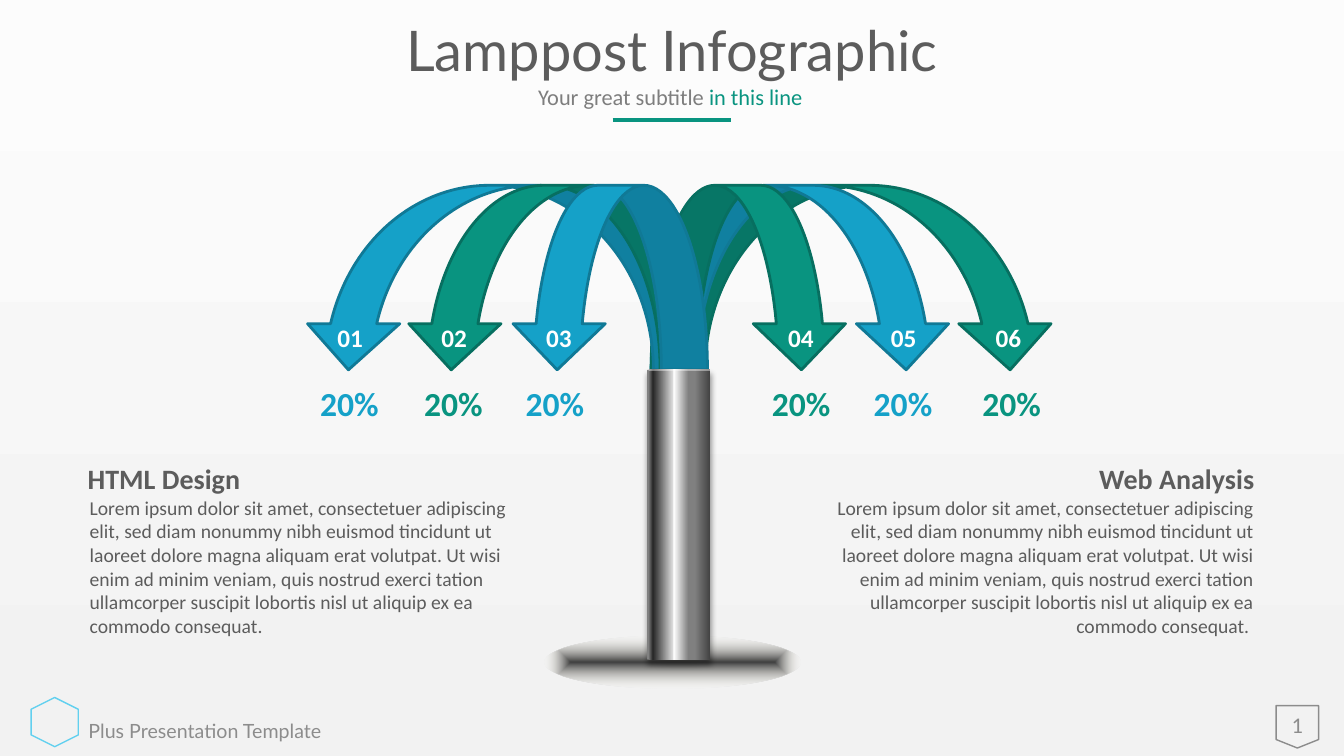
from lxml import etree
from pptx import Presentation
from pptx import util as u
from pptx.dml.color import RGBColor
from pptx.enum import shapes, text
from pptx.oxml.ns import qn

BLUE, BLUE_EDGE = "15A1C8", "107996"
GREEN, GREEN_EDGE = "099480", "076F60"
DARK, GREY, MID = "5C5C5C", "8C8C8C", "7E7E7E"
LEFT, CENTER, RIGHT = text.PP_ALIGN.LEFT, text.PP_ALIGN.CENTER, text.PP_ALIGN.RIGHT
Kind = shapes.MSO_SHAPE


def rgb(value):
    return RGBColor.from_string(value)


def add(parent, tag, **attributes):
    values = {name: str(value) for name, value in attributes.items()}
    return etree.SubElement(parent, qn(tag), values)


def add_color(parent, value, alpha=100):
    color = add(parent, "a:srgbClr", val=value)
    if alpha < 100:
        add(color, "a:alpha", val=alpha * 1000)


def write(box, content, size=14, color=DARK, font="Calibri", bold=False,
          align=LEFT, wrap=True, grow=True, middle=False, spacing=None):
    """Fill a box with one paragraph; content is a string or (string, colour) pairs."""
    frame = box.text_frame
    frame.word_wrap = wrap
    frame.auto_size = (text.MSO_AUTO_SIZE.SHAPE_TO_FIT_TEXT if grow
                       else text.MSO_AUTO_SIZE.NONE)
    frame.vertical_anchor = text.MSO_ANCHOR.MIDDLE if middle else text.MSO_ANCHOR.TOP
    para = frame.paragraphs[0]
    para.alignment = align
    if spacing:
        para.line_spacing = spacing
    for words, tint in [(content, color)] if isinstance(content, str) else content:
        span = para.add_run()
        span.text = words
        span.font.name, span.font.size, span.font.bold = font, u.Pt(size), bold
        span.font.color.rgb = rgb(tint)


class Painter:
    """Holds the current slide and draws each kind of element; lengths in cm."""

    def __init__(self, page):
        self.page = page

    def gradient(self, owner, stops, angle=None):
        """Stops are (position, colour, alpha); without an angle it runs from the centre."""
        owner.fill.gradient()
        root = self.page.element if owner is self.page.background else owner.element
        grad = root.find(".//" + qn("a:gradFill"))
        for child in list(grad):
            grad.remove(child)
        stop_list = add(grad, "a:gsLst")
        for position, color, alpha in stops:
            add_color(add(stop_list, "a:gs", pos=position * 1000), color, alpha)
        if angle is None:
            route = add(grad, "a:path", path="shape")
            add(route, "a:fillToRect", l=50000, t=50000, r=50000, b=50000)
        else:
            add(grad, "a:lin", ang=angle * 60000, scaled=0)

    def shape(self, kind, left, top, width, height, fill=None, line=None,
              weight=1, mirrored=False):
        shape = self.page.shapes.add_shape(
            kind, u.Cm(left), u.Cm(top), u.Cm(width), u.Cm(height))
        shape.shadow.inherit = False
        if fill:
            shape.fill.solid()
            shape.fill.fore_color.rgb = rgb(fill)
        else:
            shape.fill.background()
        if line:
            shape.line.color.rgb = rgb(line)
            shape.line.width = u.Pt(weight)
        else:
            shape.line.fill.background()
        if mirrored:
            shape.element.find(".//" + qn("a:xfrm")).set("flipH", "1")
        return shape

    def drop_shadow(self, shape, blur, distance, angle, alpha):
        effects = shape.element.find(".//" + qn("a:effectLst"))
        shadow = add(effects, "a:outerShdw", blurRad=u.Pt(blur), dist=u.Pt(distance),
                     dir=angle * 60000, algn="t", rotWithShape=0)
        add_color(shadow, "000000", alpha)

    def label(self, content, left, top, width, height, **style):
        box = self.page.shapes.add_textbox(
            u.Cm(left), u.Cm(top), u.Cm(width), u.Cm(height))
        write(box, content, **style)

    def rule(self, left, right, y, color, weight):
        line = self.page.shapes.add_connector(
            shapes.MSO_CONNECTOR.STRAIGHT, u.Cm(left), u.Cm(y), u.Cm(right), u.Cm(y))
        line.line.color.rgb = rgb(color)
        line.line.width = u.Pt(weight)
        add(line.element.spPr, "a:effectLst")


deck = Presentation()
deck.slide_width, deck.slide_height = u.Cm(33.87), u.Cm(19.05)
page = deck.slides.add_slide(deck.slide_layouts[6])
painter = Painter(page)
painter.gradient(page.background, [(0, "F2F2F2", 100), (100, "FCFCFC", 100)], angle=270)

# Footer
painter.shape(Kind.FLOWCHART_OFFPAGE_CONNECTOR, 32.16, 17.78, 1.07, 1.07, line=GREY)
emblem = painter.shape(Kind.HEXAGON, 0.76, 17.6, 1.24, 1.19, line="62D0EF")
emblem.rotation = 270
painter.label("Plus Presentation Template", 1.98, 17.98, 6.48, 0.86,
              font="Lato", color=GREY, wrap=False)
painter.label("1", 32.08, 17.73, 1.22, 1.07, size=16, color=GREY,
              align=CENTER, grow=False, middle=True)

# Heading
painter.label("Lamppost Infographic", 5.11, 0, 23.65, 2.69, size=40, font="Lato",
              align=CENTER, grow=False, middle=True, spacing=0.9)
painter.label([("Your great subtitle ", MID), ("in this line", GREEN)],
              13.31, 1.98, 7.24, 0.94, size=16, wrap=False)
painter.rule(15.44, 18.42, 3.02, GREEN, 3.25)

# Lamppost foot
foot = painter.shape(Kind.OVAL, 13.72, 16.03, 6.45, 1.32)
painter.gradient(foot, [(0, "404040", 100), (100, "EEECE1", 0)])

# Side texts
LOREM = ("Lorem ipsum dolor sit amet, consectetuer adipiscing elit, sed diam nonummy "
         "nibh euismod tincidunt ut laoreet dolore magna aliquam erat volutpat. Ut wisi "
         "enim ad minim veniam, quis nostrud exerci tation ullamcorper suscipit lobortis "
         "nisl ut aliquip ex ea commodo consequat. ")
for heading, heading_left, heading_width, body_left, align in (
        ("Web Analysis", 27.41, 4.45, 20.17, RIGHT),
        ("HTML Design ", 1.96, 4.55, 2.01, LEFT)):
    painter.label(LOREM, body_left, 12.37, 11.68, 3.84, align=align)
    painter.label(heading, heading_left, 11.51, heading_width, 1.12,
                  size=20, bold=True, align=align, wrap=False)

# Lamp arms, back to front: number, arrow left and width, number left, share left
ARMS = (
    ("06", 16.61, 10.01, 24.69, 24.51),
    ("05", 16.41, 7.59, 22.05, 21.77),
    ("04", 16.41, 4.95, 19.46, 19.2),
    ("01", 7.62, 10.01, 8.1, 7.82),
    ("02", 10.21, 7.59, 10.72, 10.44),
    ("03", 12.88, 4.95, 13.36, 13.0),
)


def arm_colors(number):
    return (BLUE, BLUE_EDGE) if int(number) % 2 else (GREEN, GREEN_EDGE)


for number, left, width, _, _ in ARMS:
    fill, edge = arm_colors(number)
    painter.shape(Kind.CURVED_DOWN_ARROW, left, 4.67, width, 4.65, fill=fill,
                  line=edge, weight=2, mirrored=int(number) <= 3)

# Lamppost pole
pole = painter.shape(Kind.CAN, 16.31, 9.3, 1.6, 7.34)
pole.adjustments[0] = 0.03
METAL = ((2, "808080"), (9, "262626"), (40, "D9D9D9"), (42, "FFFFFF"),
         (65, "808080"), (75, "808080"), (100, "404040"))
painter.gradient(pole, [(position, color, 100) for position, color in METAL], angle=0)
painter.drop_shadow(pole, blur=4, distance=3, angle=90, alpha=40)

# Numbers and shares
for number, _, _, number_left, share_left in ARMS:
    painter.label(number, number_left, 8, 1.45, 1.02, size=18, color="FFFFFF",
                  bold=True, align=CENTER)
    painter.label("20%", share_left, 9.53, 2.01, 1.27, size=24,
                  color=arm_colors(number)[0], bold=True, wrap=False)

deck.save("out.pptx")
